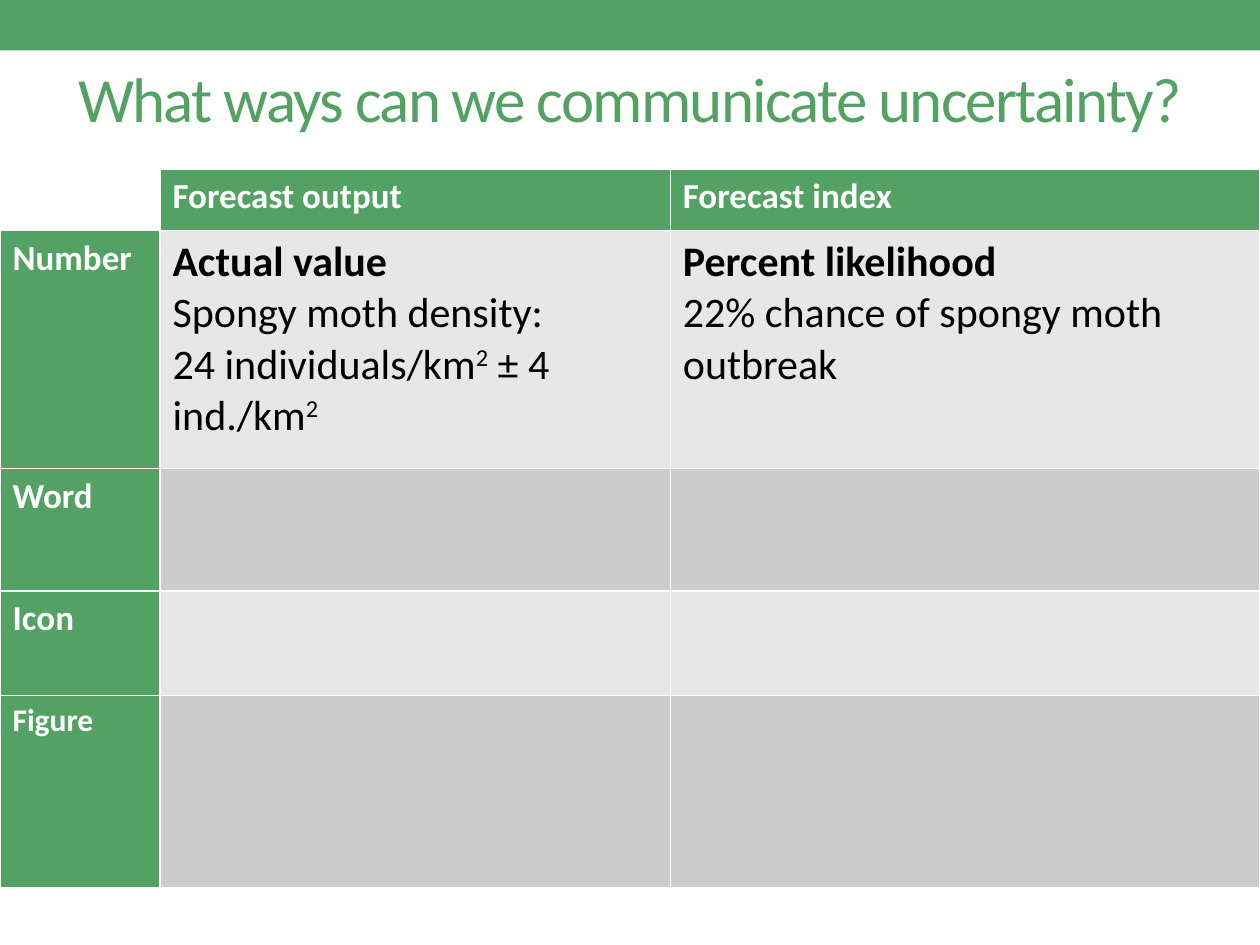
from dataclasses import dataclass

import pptx
import pptx.dml.color
import pptx.enum.shapes
import pptx.enum.text
import pptx.oxml
import pptx.oxml.ns
import pptx.util
from pptx.util import Inches

GREEN, WHITE, BLACK = "53A264", "FFFFFF", "000000"
BANDS = ("E7E7E7", "CCCCCC")
FONT = "Calibri"


@dataclass
class Run:
    text: str
    bold: bool = False
    superscript: bool = False


@dataclass
class Row:
    label: str
    height: float
    label_size: int = 20
    output: tuple = ()
    index: tuple = ()


COLUMN_WIDTHS = (1.27, 4.05, 4.68)
HEADINGS = ("Forecast output", "Forecast index")
HEADING_HEIGHT = 0.49
ROWS = (
    Row(
        "Number", 1.89,
        output=(
            [Run("Actual value", bold=True)],
            [Run("Spongy moth density:")],
            [Run("24 individuals/km"), Run("2", superscript=True),
             Run(" ± 4 ind./km"), Run("2", superscript=True)],
        ),
        index=(
            [Run("Percent likelihood", bold=True)],
            [Run("22% chance of spongy moth outbreak")],
        ),
    ),
    Row("Word", 0.97),
    Row("Icon", 0.83),
    Row("Figure", 1.53, label_size=18),
)


def rgb(color: str) -> pptx.dml.color.RGBColor:
    return pptx.dml.color.RGBColor.from_string(color)


def style_font(font, size: int, color: str, bold: bool = False) -> None:
    font.name = FONT
    font.size = pptx.util.Pt(size)
    font.bold = bold
    font.color.rgb = rgb(color)


def set_borders(cell, color: str) -> None:
    """Draw one-point lines on all sides; call before the fill is set."""
    properties = cell._tc.get_or_add_tcPr()
    for side in ("lnL", "lnR", "lnT", "lnB"):
        properties.append(pptx.oxml.parse_xml(
            f'<a:{side} {pptx.oxml.ns.nsdecls("a")} w="12700"><a:solidFill>'
            f'<a:srgbClr val="{color}"/></a:solidFill></a:{side}>'))


def fill_cell(cell, color: str, paragraphs: tuple = (),
              size: int = 24, text_color: str = BLACK) -> None:
    cell.fill.solid()
    cell.fill.fore_color.rgb = rgb(color)
    for number, runs in enumerate(paragraphs):
        frame = cell.text_frame
        paragraph = frame.add_paragraph() if number else frame.paragraphs[0]
        for part in runs:
            run = paragraph.add_run()
            run.text = part.text
            style_font(run.font, size, text_color, part.bold)
            if part.superscript:
                run.font._element.set("baseline", "30000")


def fill_header(cell, text: str, size: int = 20) -> None:
    fill_cell(cell, GREEN, ([Run(text, bold=True)],), size, WHITE)


def add_top_band(slide) -> None:
    band = slide.shapes.add_shape(
        pptx.enum.shapes.MSO_SHAPE.RECTANGLE, 0, 0, Inches(10), Inches(0.4))
    band.shadow.inherit = False
    band.fill.solid()
    band.fill.fore_color.rgb = rgb(GREEN)
    band.line.fill.background()


def set_title(slide, text: str) -> None:
    title = slide.shapes.title
    title.left, title.top = Inches(0.5), Inches(0.23)
    title.width, title.height = Inches(9), Inches(1.08)
    frame = title.text_frame
    frame.text = text
    frame.word_wrap = True
    frame.vertical_anchor = pptx.enum.text.MSO_ANCHOR.MIDDLE
    paragraph = frame.paragraphs[0]
    paragraph.alignment = pptx.enum.text.PP_ALIGN.CENTER
    font = paragraph.runs[0].font
    style_font(font, 36, GREEN)
    font._element.set("spc", "-100")


def add_comparison_table(slide) -> None:
    heights = [HEADING_HEIGHT] + [row.height for row in ROWS]
    table = slide.shapes.add_table(
        len(heights), len(COLUMN_WIDTHS), 0, Inches(1.34),
        Inches(sum(COLUMN_WIDTHS)), Inches(sum(heights))).table
    for column, width in zip(table.columns, COLUMN_WIDTHS):
        column.width = Inches(width)
    for table_row, height in zip(table.rows, heights):
        table_row.height = Inches(height)
    for cell in table.iter_cells():
        set_borders(cell, WHITE)

    # Heading row, with an empty corner
    table.cell(0, 0).fill.background()
    for column, heading in enumerate(HEADINGS, start=1):
        fill_header(table.cell(0, column), heading)

    # Labelled rows in alternating greys
    for number, row in enumerate(ROWS, start=1):
        band = BANDS[(number - 1) % len(BANDS)]
        fill_header(table.cell(number, 0), row.label, row.label_size)
        fill_cell(table.cell(number, 1), band, row.output)
        fill_cell(table.cell(number, 2), band, row.index)


def main() -> None:
    presentation = pptx.Presentation()
    presentation.slide_width = Inches(10)
    presentation.slide_height = Inches(7.5)
    title_only = presentation.slide_layouts[5]
    slide = presentation.slides.add_slide(title_only)

    add_top_band(slide)
    set_title(slide, "What ways can we communicate uncertainty?")
    add_comparison_table(slide)
    presentation.save("out.pptx")


if __name__ == "__main__":
    main()
